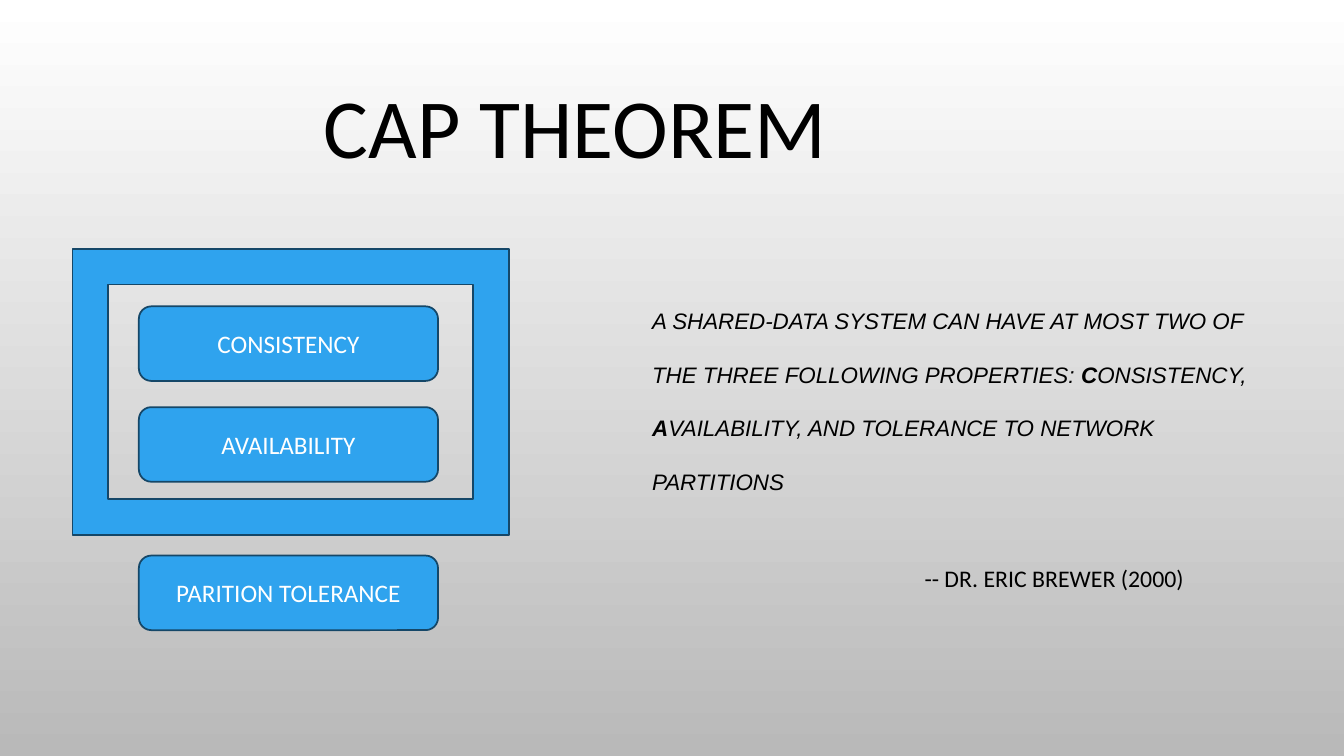
from pptx import Presentation, util as u
from pptx.dml.color import RGBColor
from pptx.enum import shapes, text
from pptx.oxml.ns import qn
from lxml import etree

BLACK = RGBColor(0x00, 0x00, 0x00)
WHITE = RGBColor(0xFF, 0xFF, 0xFF)
GREY = RGBColor(0xB9, 0xB9, 0xB9)
BLUE = RGBColor(0x2F, 0xA3, 0xEE)
NAVY = RGBColor(0x15, 0x47, 0x68)

PROPERTIES = [("CONSISTENCY", 7.72), ("AVAILABILITY", 10.26), ("PARITION TOLERANCE", 14.0)]
STATEMENT = [
    ("A SHARED-DATA SYSTEM CAN HAVE AT MOST TWO OF THE THREE FOLLOWING PROPERTIES: ", False),
    ("C", True),
    ("ONSISTENCY, ", False),
    ("A", True),
    ("VAILABILITY, AND TOLERANCE TO NETWORK PARTITIONS", False),
]


def place(shape, left, top, width, height):
    shape.left, shape.top = u.Cm(left), u.Cm(top)
    shape.width, shape.height = u.Cm(width), u.Cm(height)


def add_run(paragraph, wording, size, color=BLACK, name="Calibri", bold=False, italic=False):
    run = paragraph.add_run()
    run.text = wording
    font = run.font
    font.name, font.size = name, u.Pt(size)
    font.bold, font.italic = bold, italic
    font.color.rgb = color


def paint_background(slide):
    fill = slide.background.fill
    fill.gradient()
    fill.gradient_angle = 270
    for stop, color, position in zip(fill.gradient_stops, (WHITE, GREY), (0, 1)):
        stop.color.rgb = color
        stop.position = position


def add_blue_shape(slide, kind, left, top, width, height):
    shape = slide.shapes.add_shape(kind, u.Cm(left), u.Cm(top), u.Cm(width), u.Cm(height))
    shape.shadow.inherit = False
    shape.fill.solid()
    shape.fill.fore_color.rgb = BLUE
    shape.line.color.rgb = NAVY
    shape.line.width = u.Pt(1.25)
    return shape


def add_property(slide, label, top):
    shape = add_blue_shape(slide, shapes.MSO_SHAPE.ROUNDED_RECTANGLE, 3.5, top, 7.54, 1.88)
    frame = shape.text_frame
    frame.word_wrap = True
    frame.vertical_anchor = text.MSO_ANCHOR.MIDDLE
    paragraph = frame.paragraphs[0]
    paragraph.alignment = text.PP_ALIGN.CENTER
    add_run(paragraph, label, 18, WHITE)


def fill_title(title):
    place(title, 2.72, -1.04, 23.55, 5.61)
    frame = title.text_frame
    frame.auto_size = text.MSO_AUTO_SIZE.NONE
    frame.vertical_anchor = text.MSO_ANCHOR.BOTTOM
    paragraph = frame.paragraphs[0]
    paragraph.alignment = text.PP_ALIGN.CENTER
    paragraph.line_spacing = 0.9
    add_run(paragraph, "CAP THEOREM", 60)


def fill_statement(body):
    place(body, 14.91, 6.93, 16.84, 4.27)
    frame = body.text_frame
    frame.auto_size = text.MSO_AUTO_SIZE.NONE
    paragraph = frame.paragraphs[0]
    properties = paragraph._p.get_or_add_pPr()
    properties.set("marL", str(u.Cm(1.27)))
    properties.set("indent", "0")
    etree.SubElement(properties, qn("a:buNone"))
    paragraph.line_spacing = 2.0
    paragraph.space_before = u.Pt(0)
    for wording, bold in STATEMENT:
        add_run(paragraph, wording, 16, name="Arial", bold=bold, italic=True)


def add_attribution(slide):
    box = slide.shapes.add_textbox(u.Cm(23.05), u.Cm(14), u.Cm(7.6), u.Cm(1.5))
    box.text_frame.word_wrap = True
    paragraph = box.text_frame.paragraphs[0]
    paragraph.line_spacing = 1.1
    add_run(paragraph, "-- DR. ERIC BREWER (2000)", 17)


def main():
    presentation = Presentation()
    presentation.slide_width = u.Cm(33.87)
    presentation.slide_height = u.Cm(19.05)
    slide = presentation.slides.add_slide(presentation.slide_layouts[1])
    paint_background(slide)
    fill_title(slide.shapes.title)
    fill_statement(slide.placeholders[1])
    for label, top in PROPERTIES:
        add_property(slide, label, top)
    add_attribution(slide)
    add_blue_shape(slide, shapes.MSO_SHAPE.FRAME, 1.83, 6.27, 11, 7.21)
    presentation.save("out.pptx")


if __name__ == "__main__":
    main()
